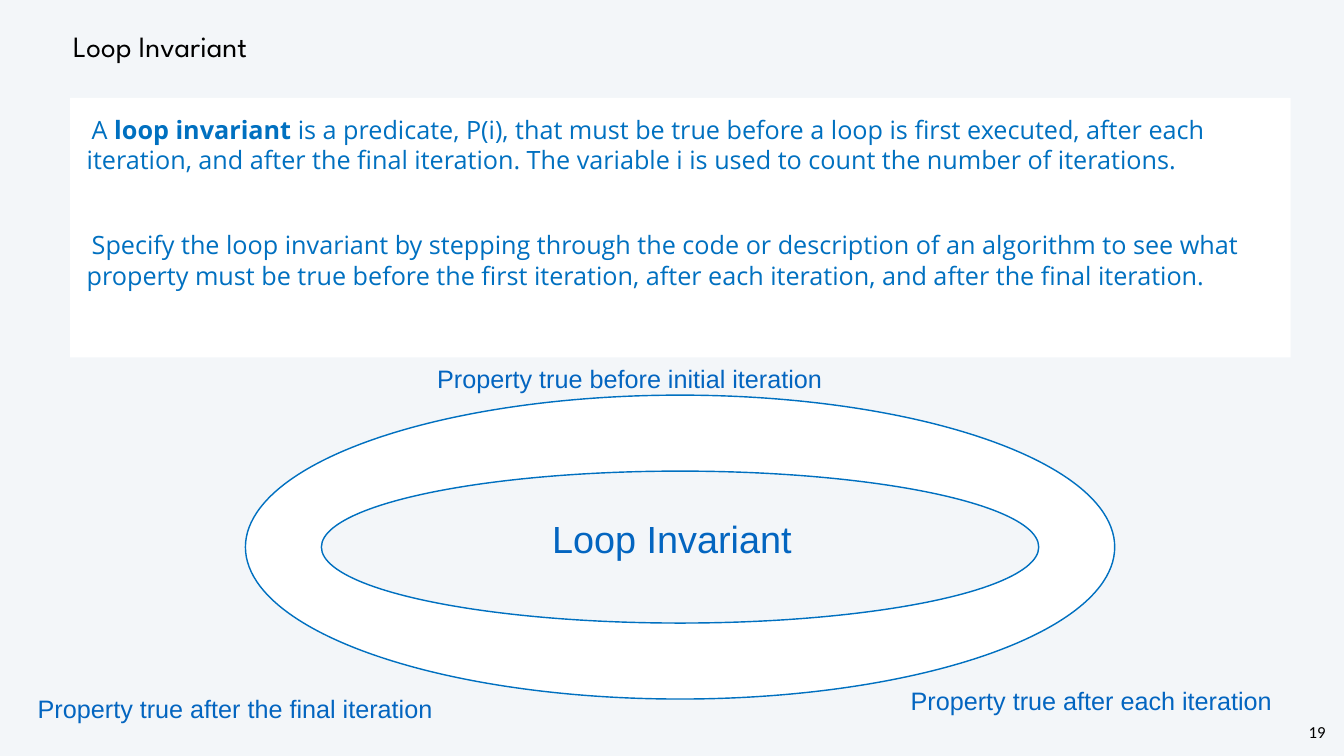
from lxml.etree import SubElement
from pptx import Presentation
from pptx.dml.color import RGBColor
from pptx.enum.shapes import MSO_SHAPE
from pptx.enum.text import MSO_ANCHOR, PP_ALIGN
from pptx.util import Inches, Pt

WIDTH, HEIGHT = 26.67, 15
BACKGROUND, WHITE, BLACK = "F3F6F9", "FFFFFF", "000000"
BLUE, LABEL_BLUE = "0070C0", "0365C0"

# Content: each paragraph is a list of (text, bold) spans
TITLE = [[("Loop Invariant", False)]]
DEFINITION = [
    [("A ", False), ("loop invariant ", True),
     ("is a predicate, P(i), that must be true before a loop is first executed, "
      "after each iteration, and after the final iteration. The variable i is used "
      "to count the number of iterations.", False)],
    [("Specify the loop invariant by stepping through the code or description of an "
      "algorithm to see what property must be true before the first iteration, after "
      "each iteration, and after the final iteration.", False)],
]
PAGE_NUMBER = [[("19", False)]]

# Labels around the ring: text, centre x and top as shares of the slide, width, size
LABELS = [
    ("Loop Invariant", 0.5, 0.679, 5, 54),
    ("Property true before initial iteration", 0.4685, 0.4767, 11.65, 36),
    ("Property true after each iteration", 0.812, 0.9027, 7.44, 36),
    ("Property true after the final iteration", 0.175, 0.914, 8.11, 36),
]


def color(value):
    return RGBColor.from_string(value)


def write(shape, paragraphs, *, font, size, ink, align=PP_ALIGN.LEFT,
          anchor=MSO_ANCHOR.TOP, inset=(0.1, 0.05), wrap=True, line=None,
          before=0, gap=0, indent=0):
    """Fill a shape with text; gap is the extra space between paragraphs."""
    frame = shape.text_frame
    frame.word_wrap = wrap
    frame.vertical_anchor = anchor
    frame.margin_left = frame.margin_right = Inches(inset[0])
    frame.margin_top = frame.margin_bottom = Inches(inset[1])
    for index, spans in enumerate(paragraphs):
        para = frame.add_paragraph() if index else frame.paragraphs[0]
        para.alignment = align
        para.space_before = Pt(before + (gap if index else 0))
        if line:
            para.line_spacing = Pt(line)
        if indent:
            para._p.get_or_add_pPr().set("indent", str(Inches(indent)))
        for text, bold in spans:
            span = para.add_run()
            span.text = text
            span.font.name, span.font.size = font, Pt(size)
            span.font.bold = bold
            span.font.color.rgb = color(ink)


def add_box(page, left, top, width, height):
    return page.shapes.add_textbox(*map(Inches, (left, top, width, height)))


def add_panel(page, kind, left, top, width, height, outline=None):
    shape = page.shapes.add_shape(kind, *map(Inches, (left, top, width, height)))
    shape.shadow.inherit = False
    shape.fill.solid()
    shape.fill.fore_color.rgb = color(WHITE)
    if outline:
        shape.line.color.rgb = color(outline)
        shape.line.width = Pt(2)
    else:
        shape.line.fill.background()
    return shape


def main():
    deck = Presentation()
    deck.slide_width, deck.slide_height = Inches(WIDTH), Inches(HEIGHT)
    page = deck.slides.add_slide(deck.slide_layouts[6])
    page.background.fill.solid()
    page.background.fill.fore_color.rgb = color(BACKGROUND)

    # Page number and title
    margin = 1.39
    write(add_box(page, 25.92, 14.29, 0.43, 0.47), PAGE_NUMBER, font="Calibri",
          size=24, ink=BLACK, align=PP_ALIGN.CENTER, inset=(0.04, 0.04),
          wrap=False, line=28)
    write(add_box(page, margin, 0.42, 22.62, 0.99), TITLE, font="League Spartan",
          size=42, ink=BLACK, anchor=MSO_ANCHOR.MIDDLE, inset=(0.06, 0.06),
          line=50, before=3)

    # Definition panel, with one empty line's height between the paragraphs
    panel = add_panel(page, MSO_SHAPE.RECTANGLE, margin, 1.94, 24.22, 5.15)
    write(panel, DEFINITION, font="Open Sans", size=36, ink=BLUE,
          inset=(0.33, 0.33), line=43, before=18, gap=43 + 18, indent=0.1)

    # Ring and its labels
    add_panel(page, MSO_SHAPE.DONUT, 4.87, 7.84, 17.25, 6.03, outline=BLUE)
    for text, centre, top, width, size in LABELS:
        box = add_box(page, centre * WIDTH - width / 2, top * HEIGHT,
                      width, size * 1.2 / 72 + 0.1)
        write(box, [[(text, False)]], font="Arial", size=size, ink=LABEL_BLUE,
              align=PP_ALIGN.CENTER, wrap=False)

    deck.save("out.pptx")


if __name__ == "__main__":
    main()
